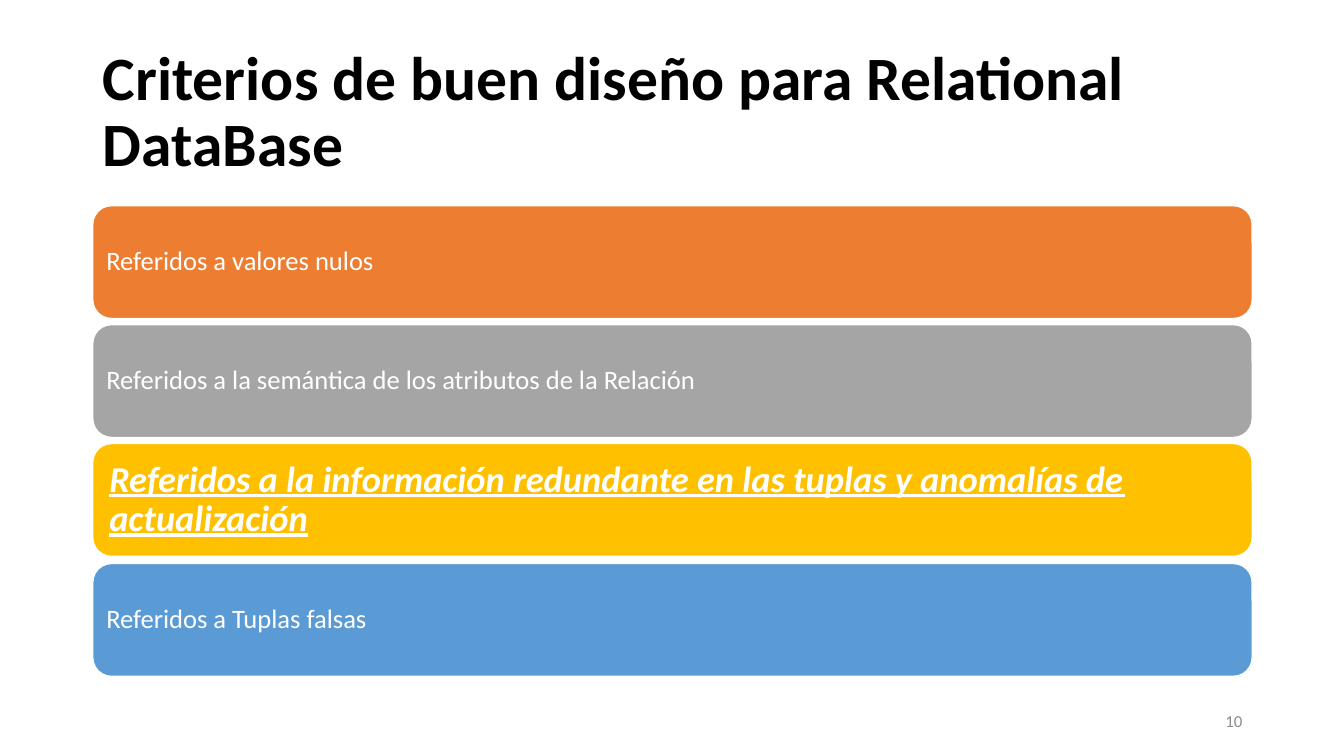
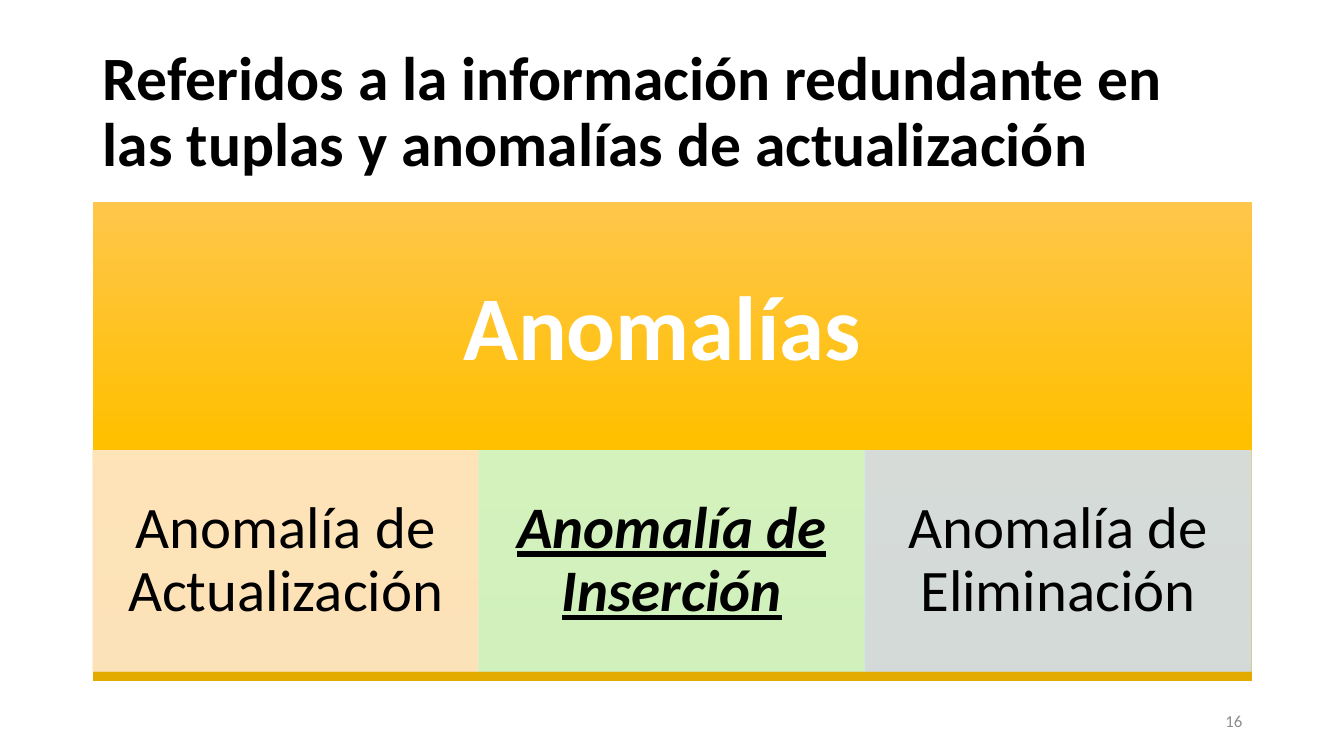
from copy import deepcopy

from pptx import Presentation
from pptx.dml.color import RGBColor
from pptx.enum.shapes import MSO_SHAPE as Shape
from pptx.enum.text import MSO_ANCHOR as Anchor, PP_ALIGN as Align
from pptx.oxml.ns import qn
from pptx.oxml.xmlchemy import OxmlElement
from pptx.util import Pt

PX = 9144  # EMU in a px: 100 px to the inch
LEFT, WIDTH = 92, 1150

FONT = "Calibri"
BLACK = RGBColor(0x00, 0x00, 0x00)
WHITE = RGBColor(0xFF, 0xFF, 0xFF)
MUTED = RGBColor(0x8C, 0x8C, 0x8C)
ORANGE = RGBColor(0xED, 0x7D, 0x31)
GRAY = RGBColor(0xA5, 0xA5, 0xA5)
GOLD = RGBColor(0xFF, 0xC0, 0x00)
BLUE = RGBColor(0x5B, 0x9B, 0xD5)
LIGHT = RGBColor(0xFF, 0xC6, 0x4B)
DARK = RGBColor(0xE3, 0xAB, 0x00)
PEACH = RGBColor(0xFF, 0xE8, 0xCC)
MINT = RGBColor(0xCF, 0xF8, 0xD1)
MIST = RGBColor(0xD2, 0xDF, 0xF0)

CRITERIA = [
    ("Referidos a valores nulos", ORANGE, False),
    ("Referidos a la semántica de los atributos de la Relación", GRAY, False),
    ("Referidos a la información redundante en las tuplas y anomalías "
     "de actualización", GOLD, True),
    ("Referidos a Tuplas falsas", BLUE, False),
]
KINDS = [
    ("Anomalía de Actualización", PEACH, False),
    ("Anomalía de Inserción", MINT, True),
    ("Anomalía de Eliminación", MIST, False),
]


def scale(*sizes):
    return [size * PX for size in sizes]


def write(shape, text, size, color, align=Align.LEFT, pad=(10, 5),
          bold=False, stress=False, spacing=0.9):
    """Fill a shape with one run; pad is (sides, top and bottom)."""
    frame = shape.text_frame
    frame.word_wrap = True
    frame.vertical_anchor = Anchor.MIDDLE
    side, edge = scale(*pad)
    frame.margin_left = frame.margin_right = side
    frame.margin_top = frame.margin_bottom = edge
    para = frame.paragraphs[0]
    para.alignment = align
    para.line_spacing = spacing
    run = para.add_run()
    run.text = text
    font = run.font
    font.name, font.size, font.color.rgb = FONT, Pt(size), color
    font.bold = bold or stress
    font.italic = font.underline = stress


def add_box(slide, kind, *place):
    box = slide.shapes.add_shape(kind, *scale(*place))
    box.shadow.inherit = False
    return box


def paint(box, fill, line, width):
    box.fill.solid()
    box.fill.fore_color.rgb = fill
    box.line.color.rgb = line
    box.line.width = Pt(width)


def fade(box, percent):
    """Set the opacity of the fill and the line."""
    for color in box._element.spPr.iter(qn("a:srgbClr")):
        alpha = OxmlElement("a:alpha")
        alpha.set("val", str(percent * 1000))
        color.append(alpha)


def blend(box, colors):
    """Fill from top to bottom with evenly spaced colours."""
    box.line.fill.background()
    box.fill.gradient()
    box.fill.gradient_angle = 270
    stops = box._element.spPr.find(".//" + qn("a:gsLst"))
    while len(stops) < len(colors):
        stops.append(deepcopy(stops[0]))
    for i, (stop, color) in enumerate(zip(box.fill.gradient_stops, colors)):
        stop.color.rgb = color
        stop.position = i / (len(colors) - 1)


def add_slide(deck, title, number):
    slide = deck.slides.add_slide(deck.slide_layouts[5])
    head = slide.shapes.title
    head.left, head.top, head.width, head.height = scale(LEFT, 40, WIDTH, 145)
    write(head, title, 44, BLACK, bold=True)
    foot = slide.shapes.add_textbox(*scale(942, 695, 300, 40))
    write(foot, number, 12, MUTED, Align.RIGHT, spacing=1)
    return slide


def add_bars(slide):
    for i, (text, color, stress) in enumerate(CRITERIA):
        bar = add_box(slide, Shape.ROUNDED_RECTANGLE,
                      LEFT, 204 + 355 * i // 3, WIDTH, 112)
        paint(bar, color, WHITE, 1)
        size, pad = (26, 11) if stress else (19, 8)
        write(bar, text, size, WHITE, pad=(pad, pad), stress=stress)


def add_panel(slide):
    blend(add_box(slide, Shape.RECTANGLE, LEFT, 200, WIDTH, 476),
          [LIGHT, GOLD, DARK])
    label = slide.shapes.add_textbox(*scale(LEFT, 200, WIDTH, 257))
    write(label, "Anomalías ", 65, WHITE, Align.CENTER, (51, 51), bold=True)
    wide = WIDTH // len(KINDS)
    for i, (text, color, stress) in enumerate(KINDS):
        cell = add_box(slide, Shape.RECTANGLE, LEFT + i * wide, 447, wide, 219)
        paint(cell, color, color, 0.5)
        fade(cell, 90)
        write(cell, text, 42, BLACK, Align.CENTER, (33, 6), stress=stress)


def main():
    deck = Presentation()
    deck.slide_width, deck.slide_height = scale(1333, 750)
    add_bars(add_slide(
        deck, "Criterios de buen diseño para Relational DataBase", "10"))
    add_panel(add_slide(deck, CRITERIA[2][0], "16"))
    deck.save("out.pptx")


if __name__ == "__main__":
    main()
